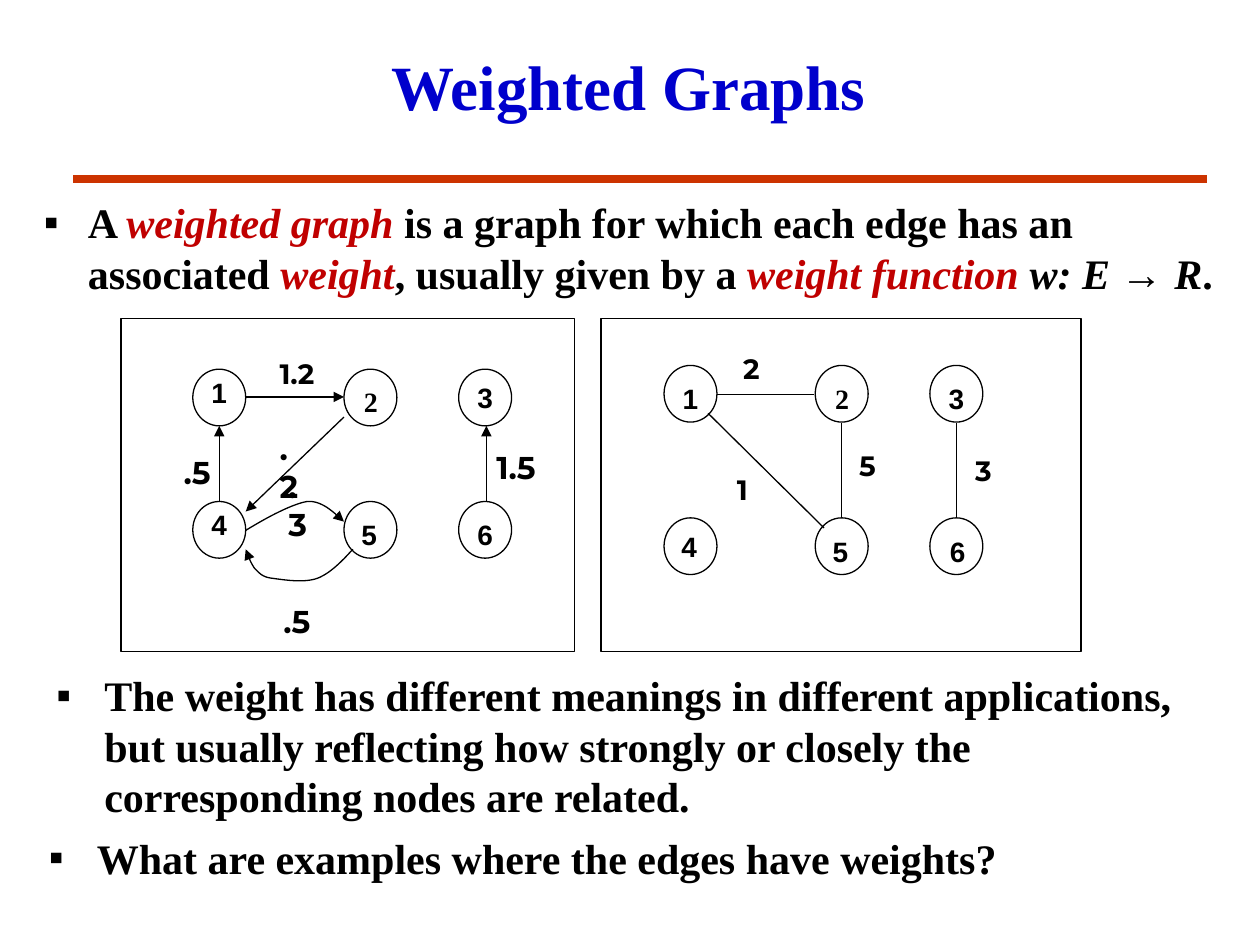
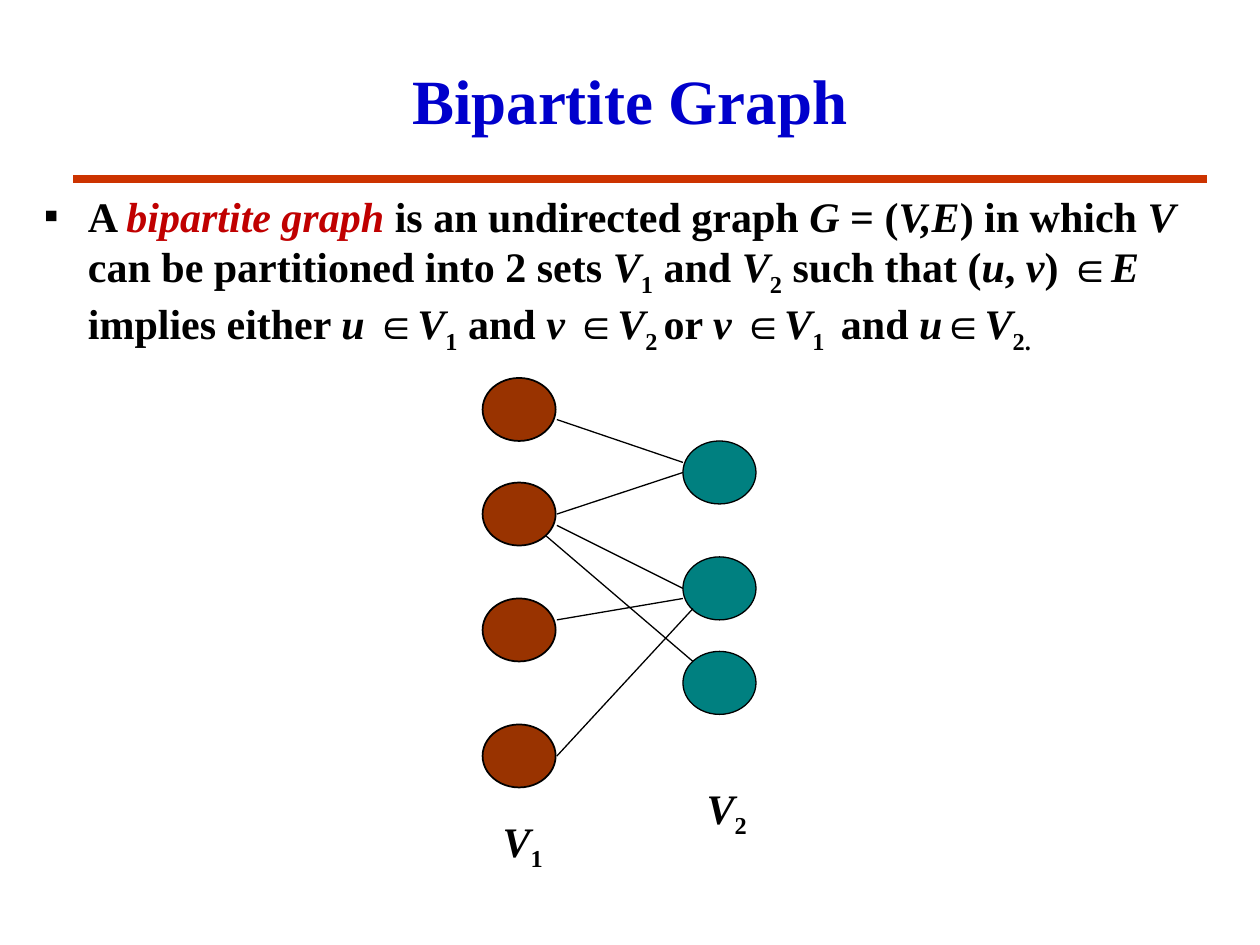
from dataclasses import dataclass
from typing import NamedTuple

import pptx
import pptx.dml.color
import pptx.enum.shapes
import pptx.enum.text
import pptx.oxml
import pptx.oxml.ns
import pptx.util

PX = 9144  # EMU per px, at 100 px to the inch


@dataclass(frozen=True)
class Theme:
    ink: str = "000000"
    title: str = "0000CC"
    rule: str = "CC3300"
    key_term: str = "C00000"
    left_set: str = "993300"
    right_set: str = "008080"
    serif: str = "Times New Roman"
    sans: str = "Arial"
    weight_font: str = "Montserrat"
    title_size: int = 36
    body_size: int = 24
    node_size: int = 16
    weight_size: int = 18
    thin: float = 0.75


THEME = Theme()


class Box(NamedTuple):
    left: int
    top: int
    width: int
    height: int


class Point(NamedTuple):
    x: int
    y: int


class Span(NamedTuple):
    text: str
    style: str = "plain"  # plain, italic, key, symbol or sub


class Node(NamedTuple):
    name: str
    column: int
    row: int
    label_dx: int
    label_dy: int


class Edge(NamedTuple):
    start: Point
    end: Point


class Weight(NamedTuple):
    text: str
    box: Box
    size: int = THEME.node_size
    wrap: bool = False


class Graph(NamedTuple):
    frame: Box
    columns: list[int]
    rows: list[int]
    nodes: list[Node]
    edges: list[Edge]
    weights: list[Weight]
    directed: bool


# Drawing helpers
def emu(*lengths: float) -> list[int]:
    return [round(length * PX) for length in lengths]


def color(code: str):
    return pptx.dml.color.RGBColor.from_string(code)


def draw_shape(page, kind: str, box: Box, fill: str = "", width: float = THEME.thin) -> None:
    shape = page.shapes.add_shape(getattr(pptx.enum.shapes.MSO_SHAPE, kind), *emu(*box))
    finish_outline(shape, width)
    if fill:
        shape.fill.solid()
        shape.fill.fore_color.rgb = color(fill)


def finish_outline(shape, width: float) -> None:
    shape.shadow.inherit = False
    shape.fill.background()
    shape.line.color.rgb = color(THEME.ink)
    shape.line.width = pptx.util.Pt(width)


def add_arrowhead(shape) -> None:
    tail = pptx.oxml.parse_xml(f'<a:tailEnd {pptx.oxml.ns.nsdecls("a")} type="triangle"/>')
    shape.line._get_or_add_ln().append(tail)


def draw_line(page, edge: Edge, arrow: bool = False, code: str = THEME.ink,
              width: float = THEME.thin) -> None:
    line = page.shapes.add_connector(pptx.enum.shapes.MSO_CONNECTOR.STRAIGHT,
                                     *emu(*edge.start, *edge.end))
    line.line.color.rgb = color(code)
    line.line.width = pptx.util.Pt(width)
    if arrow:
        add_arrowhead(line)
    line._element.spPr.append(pptx.oxml.parse_xml(f'<a:effectLst {pptx.oxml.ns.nsdecls("a")}/>'))


def draw_curve(page, points: list[Point], steps: int = 16) -> None:
    """Draw chained cubic curves: a start, then three points per curve."""
    track = []
    for first in range(0, len(points) - 1, 3):
        a, b, c, d = points[first:first + 4]
        for step in range(1, steps + 1):
            t = step / steps
            u = 1 - t
            track.append(emu(*(
                u**3 * p + 3 * u * u * t * q + 3 * u * t * t * r + t**3 * s
                for p, q, r, s in zip(a, b, c, d))))
    builder = page.shapes.build_freeform(*emu(*points[0]), scale=1.0)
    builder.add_line_segments(track, close=False)
    curve = builder.convert_to_shape()
    finish_outline(curve, THEME.thin)
    add_arrowhead(curve)


def format_span(span, size: int, font: str = THEME.serif, code: str = THEME.ink) -> None:
    span.font.name = font
    span.font.size = pptx.util.Pt(size)
    span.font.bold = True
    span.font.color.rgb = color(code)


def draw_label(page, box: Box, text: str, size: int, font: str, code: str = THEME.ink,
               wrap: bool = False):
    label = page.shapes.add_textbox(*emu(*box))
    frame = label.text_frame
    frame.word_wrap = wrap
    frame.text = text
    format_span(frame.paragraphs[0].runs[0], size, font, code)
    return frame


def write_spans(para, spans: list[Span]) -> None:
    for part in spans:
        span = para.add_run()
        span.text = part.text
        format_span(span, THEME.body_size,
                    THEME.sans if part.style == "symbol" else THEME.serif,
                    THEME.key_term if part.style == "key" else THEME.ink)
        span.font.italic = part.style in ("italic", "key")
        if part.style == "sub":
            span.font._element.set("baseline", "-25000")


def draw_bullet(page, box: Box, indent: int, spans: list[Span]) -> None:
    frame = page.shapes.add_textbox(*emu(*box)).text_frame
    frame.word_wrap = True
    frame.vertical_anchor = pptx.enum.text.MSO_ANCHOR.MIDDLE
    para = frame.paragraphs[0]
    settings = para._p.get_or_add_pPr()
    settings.set("marL", str(indent * PX))
    settings.set("indent", str(-indent * PX))
    space = pptx.oxml.ns.nsdecls("a")
    settings.append(pptx.oxml.parse_xml(
        f'<a:buClr {space}><a:srgbClr val="{THEME.ink}"/></a:buClr>'))
    settings.append(pptx.oxml.parse_xml(f'<a:buFont {space} typeface="{THEME.sans}"/>'))
    settings.append(pptx.oxml.parse_xml(f'<a:buChar {space} char="▪"/>'))
    write_spans(para, spans)


def add_page(deck, title: str, box: Box, anchor: str):
    """Add a page with the shared title style and rule."""
    page = deck.slides.add_slide(deck.slide_layouts[6])
    draw_line(page, Edge(Point(58, 142), Point(958, 142)), code=THEME.rule, width=4.5)
    frame = draw_label(page, box, title, THEME.title_size, THEME.serif, THEME.title, wrap=True)
    frame.vertical_anchor = getattr(pptx.enum.text.MSO_ANCHOR, anchor)
    frame.paragraphs[0].alignment = pptx.enum.text.PP_ALIGN.CENTER
    return page


def draw_graph(page, graph: Graph) -> None:
    for node in graph.nodes:
        left, top = graph.columns[node.column], graph.rows[node.row]
        draw_shape(page, "OVAL", Box(left, top, 42, 45))
        draw_label(page, Box(left + node.label_dx, top + node.label_dy, 32, 37), node.name,
                   THEME.node_size, THEME.serif if node.name == "2" else THEME.sans)
    for edge in graph.edges:
        draw_line(page, edge, graph.directed)
    for weight in graph.weights:
        draw_label(page, weight.box, weight.text, weight.size, THEME.weight_font,
                   wrap=weight.wrap)
    draw_shape(page, "RECTANGLE", graph.frame)


# Weighted graphs
DIRECTED = Graph(
    Box(96, 253, 360, 264), [153, 273, 364], [293, 398],
    [Node("1", 0, 0, 5, 0), Node("2", 1, 0, 6, 7), Node("3", 2, 0, 5, 4),
     Node("4", 0, 1, 5, 0), Node("5", 1, 1, 4, 8), Node("6", 2, 1, 5, 8)],
    [Edge(Point(174, 398), Point(174, 338)), Edge(Point(195, 315), Point(273, 315)),
     Edge(Point(273, 331), Point(195, 406)), Edge(Point(386, 398), Point(386, 338))],
    [Weight(".5", Box(136, 355, 48, 40), THEME.weight_size),
     Weight("1.2", Box(212, 278, 51, 37)),
     Weight(".2", Box(212, 336, 38, 40), THEME.weight_size, wrap=True),
     Weight(".5", Box(215, 473, 48, 40), THEME.weight_size),
     Weight("1.5", Box(384, 351, 55, 40), THEME.weight_size),
     Weight(".3", Box(219, 366, 38, 40), THEME.weight_size, wrap=True)],
    directed=True)

UNDIRECTED = Graph(
    Box(477, 253, 381, 264), [527, 647, 738], [290, 411],
    [Node("1", 0, 0, 5, 8), Node("2", 1, 0, 6, 8), Node("3", 2, 0, 5, 8),
     Node("4", 0, 1, 4, 4), Node("5", 1, 1, 4, 8), Node("6", 2, 1, 6, 8)],
    [Edge(Point(562, 328), Point(654, 419)), Edge(Point(569, 313), Point(646, 313)),
     Edge(Point(668, 411), Point(668, 336)), Edge(Point(759, 411), Point(759, 336))],
    [Weight("2", Box(580, 274, 32, 37)), Weight("1", Box(575, 370, 32, 37)),
     Weight("3", Box(764, 355, 32, 37)), Weight("5", Box(672, 351, 32, 37))],
    directed=False)

CURVES = [
    [Point(195, 421), Point(213, 410), Point(232, 400), Point(244, 398),
     Point(257, 397), Point(268, 410), Point(273, 414)],
    [Point(280, 436), Point(271, 446), Point(262, 455), Point(252, 459),
     Point(241, 463), Point(224, 460), Point(216, 459),
     Point(208, 458), Point(206, 455), Point(202, 451),
     Point(199, 447), Point(196, 439), Point(195, 436)],
]


def build_weighted(deck) -> None:
    page = add_page(deck, "Weighted Graphs ", Box(80, 33, 850, 100), "TOP")
    draw_bullet(page, Box(25, 150, 950, 92), 35, [
        Span("A "), Span("weighted graph ", "key"),
        Span("is a graph for which each edge has an associated "), Span("weight", "key"),
        Span(", usually given by a "), Span("weight function ", "key"),
        Span("w: E ", "italic"), Span("→ ", "symbol"), Span("R", "italic"), Span(".")])
    for graph in (DIRECTED, UNDIRECTED):
        draw_graph(page, graph)
    for curve in CURVES:
        draw_curve(page, curve)
    draw_bullet(page, Box(35, 525, 950, 133), 38, [Span(
        "The weight has different meanings in different applications, but usually "
        "reflecting how strongly or closely the corresponding nodes are related.")])
    draw_bullet(page, Box(29, 650, 950, 61), 38,
                [Span("What are examples where the edges have weights?")])


# Bipartite graph
def member(item: str, number: str) -> list[Span]:
    """Spell out that an item is in a numbered vertex set."""
    return [Span(item, "italic"), Span("∈", "symbol"), Span("V", "italic"), Span(number, "sub")]


def build_bipartite(deck) -> None:
    page = add_page(deck, "Bipartite Graph", Box(75, 25, 850, 108), "MIDDLE")
    draw_bullet(page, Box(25, 150, 950, 133), 35, [
        Span("A "), Span("bipartite graph ", "key"), Span("is an undirected graph "),
        Span("G", "italic"), Span(" = ("), Span("V,E", "italic"), Span(") in which "),
        Span("V", "italic"), Span(" can be partitioned into 2 sets "),
        Span("V", "italic"), Span("1", "sub"), Span(" and "),
        Span("V", "italic"), Span("2", "sub"), Span(" such that ("),
        Span("u", "italic"), Span(", "), Span("v", "italic"), Span(") "),
        Span("∈", "symbol"), Span("E", "italic"), Span(" implies either "),
        *member("u ", "1"), Span(" and "), *member("v ", "2 "), Span("or "),
        *member("v ", "1 "), Span(" and "), *member("u", "2.")])
    for left, tops, fill, width in ((383, (300, 383, 475, 575), THEME.left_set, 1),
                                    (542, (350, 442, 517), THEME.right_set, THEME.thin)):
        for top in tops:
            draw_shape(page, "OVAL", Box(left, top, 58, 50), fill, width)
    for x1, y1, x2, y2 in ((442, 333, 542, 367), (442, 408, 542, 375), (442, 600, 550, 483),
                           (442, 492, 542, 475), (442, 417, 542, 467), (433, 425, 550, 525)):
        draw_line(page, Edge(Point(x1, y1), Point(x2, y2)))
    for number, left, top in (("1", 389, 642), ("2", 551, 616)):
        frame = page.shapes.add_textbox(*emu(left, top, 52, 56)).text_frame
        frame.word_wrap = False
        write_spans(frame.paragraphs[0], [Span("V", "italic"), Span(number, "sub")])


def main() -> None:
    deck = pptx.Presentation()
    deck.slide_width, deck.slide_height = emu(1000, 750)
    build_weighted(deck)
    build_bipartite(deck)
    deck.save("out.pptx")


if __name__ == "__main__":
    main()
